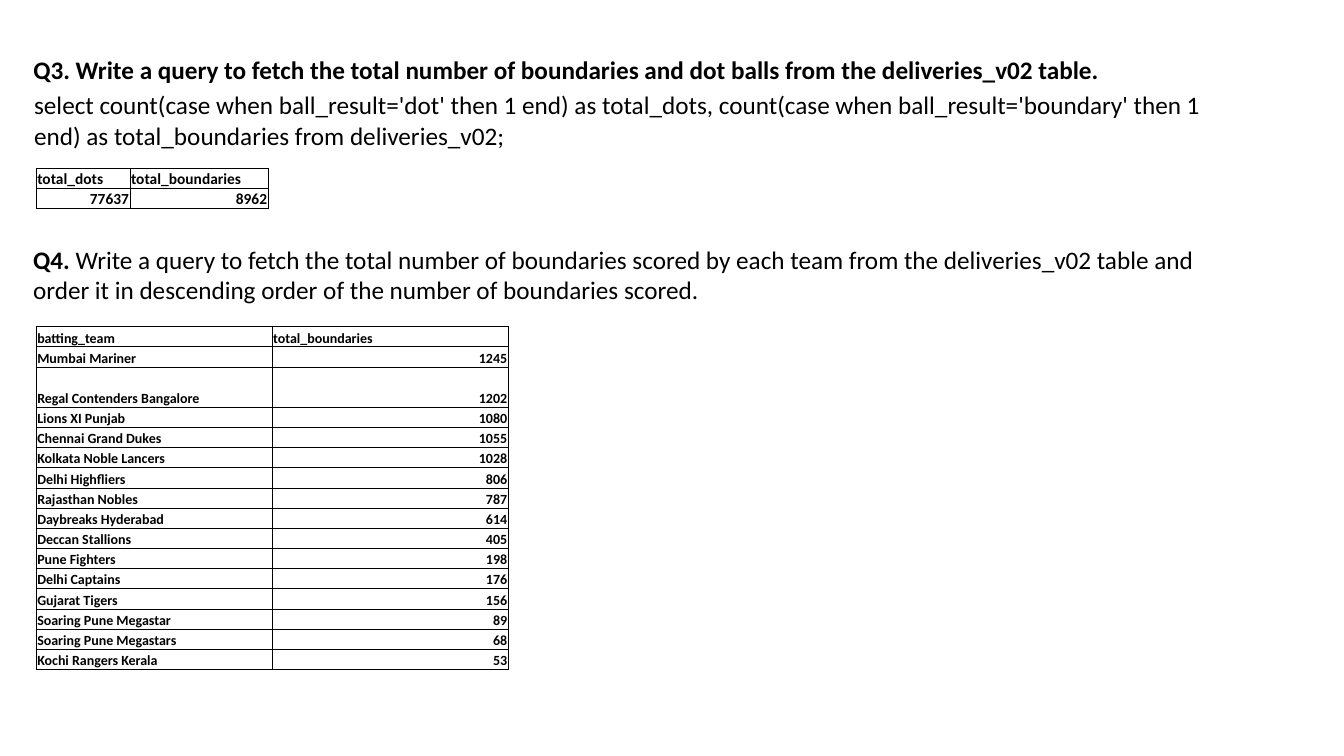
from pptx import Presentation
from pptx.dml.color import RGBColor
from pptx.enum.text import MSO_ANCHOR, MSO_AUTO_SIZE, PP_ALIGN
from pptx.oxml import parse_xml
from pptx.oxml.ns import nsdecls
from pptx.util import Inches, Pt

TOP, BOTTOM = MSO_ANCHOR.TOP, MSO_ANCHOR.BOTTOM
LEFT, RIGHT = PP_ALIGN.LEFT, PP_ALIGN.RIGHT
NO_AUTOFIT = MSO_AUTO_SIZE.NONE

THEME = {"font": "Calibri", "ink": "000000", "text": 18, "dots": 11, "teams": 10, "border": 0.5}
FRAME = {"word_wrap": True, "auto_size": NO_AUTOFIT, "vertical_anchor": TOP}
CELL = {"margin_left": Inches(0.01), "margin_right": Inches(0.01),
        "margin_top": Inches(0.01), "margin_bottom": 0, "vertical_anchor": BOTTOM}


def write(p, runs, size, align=LEFT):
    p.alignment = align
    for text, bold in runs:
        r = p.add_run()
        r.text = text
        font = {"name": THEME["font"], "size": Pt(size), "bold": bold}
        for key, value in font.items():
            setattr(r.font, key, value)
        r.font.color.rgb = RGBColor.from_string(THEME["ink"])


prs = Presentation()
prs.slide_width, prs.slide_height = Inches(13.33), Inches(7.5)
s = prs.slides.add_slide(prs.slide_layouts[5])

texts = [
    ((0.23, 0.49, 12.88, 0.4),
     [("Q3. Write a query to fetch the total number of boundaries and dot balls "
       "from the deliveries_v02 table.", True)]),
    ((0.24, 0.84, 12, 0.71),
     [("select count(case when ball_result='dot' then 1 end) as total_dots, "
       "count(case when ball_result='boundary' then 1 end) as total_boundaries "
       "from deliveries_v02;", False)]),
    ((0.23, 2.37, 11.8, 0.71),
     [("Q4. ", True),
      ("Write a query to fetch the total number of boundaries scored by each team "
       "from the deliveries_v02 table and order it in descending order of the number "
       "of boundaries scored.", False)]),
]
for i, (box, runs) in enumerate(texts):
    box = [Inches(v) for v in box]
    sp = s.shapes.title if i == 0 else s.shapes.add_textbox(*box)
    sp.left, sp.top, sp.width, sp.height = box
    tf = sp.text_frame
    for key, value in FRAME.items():
        setattr(tf, key, value)
    write(tf.paragraphs[0], runs, THEME["text"])

dots = [("total_dots", "total_boundaries"), ("77637", "8962")]
teams = [
    ("batting_team", "total_boundaries"),
    ("Mumbai Mariner", "1245"),
    ("Regal Contenders Bangalore", "1202"),
    ("Lions XI Punjab", "1080"),
    ("Chennai Grand Dukes", "1055"),
    ("Kolkata Noble Lancers", "1028"),
    ("Delhi Highfliers", "806"),
    ("Rajasthan Nobles", "787"),
    ("Daybreaks Hyderabad", "614"),
    ("Deccan Stallions", "405"),
    ("Pune Fighters", "198"),
    ("Delhi Captains", "176"),
    ("Gujarat Tigers", "156"),
    ("Soaring Pune Megastar", "89"),
    ("Soaring Pune Megastars", "68"),
    ("Kochi Rangers Kerala", "53"),
]
ROW, TALL_ROW = 0.2, 2
tables = [
    (dots, 1.67, (0.93, 1.37), THEME["dots"]),
    (teams, 3.24, (2.34, 2.34), THEME["teams"]),
]
for rows, top, widths, size in tables:
    table = s.shapes.add_table(len(rows), len(widths), Inches(0.36), Inches(top),
                               Inches(sum(widths)), Inches(ROW * len(rows))).table
    table.first_row = table.horz_banding = False
    for column, width in zip(table.columns, widths):
        column.width = Inches(width)
    for i, row in enumerate(rows):
        table.rows[i].height = Inches(ROW * 2 if i == TALL_ROW else ROW)
        for j, text in enumerate(row):
            cell = table.cell(i, j)
            for key, value in CELL.items():
                setattr(cell, key, value)
            for side in ("lnL", "lnR", "lnT", "lnB"):
                cell._tc.get_or_add_tcPr().append(parse_xml(
                    f'<a:{side} {nsdecls("a")} w="{Pt(THEME["border"])}"><a:solidFill>'
                    f'<a:srgbClr val="{THEME["ink"]}"/></a:solidFill></a:{side}>'))
            cell.fill.background()
            write(cell.text_frame.paragraphs[0], [(text, True)], size,
                  RIGHT if text.isdigit() else LEFT)

prs.save("out.pptx")
